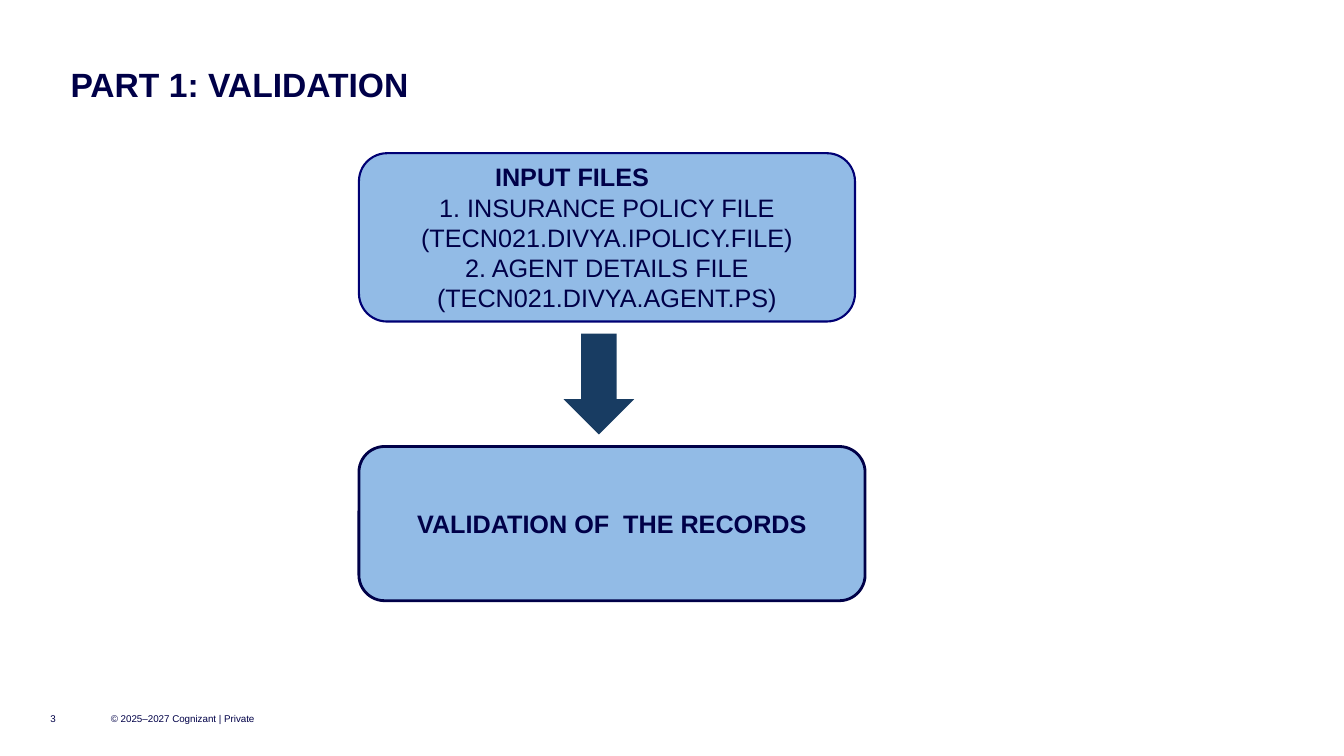
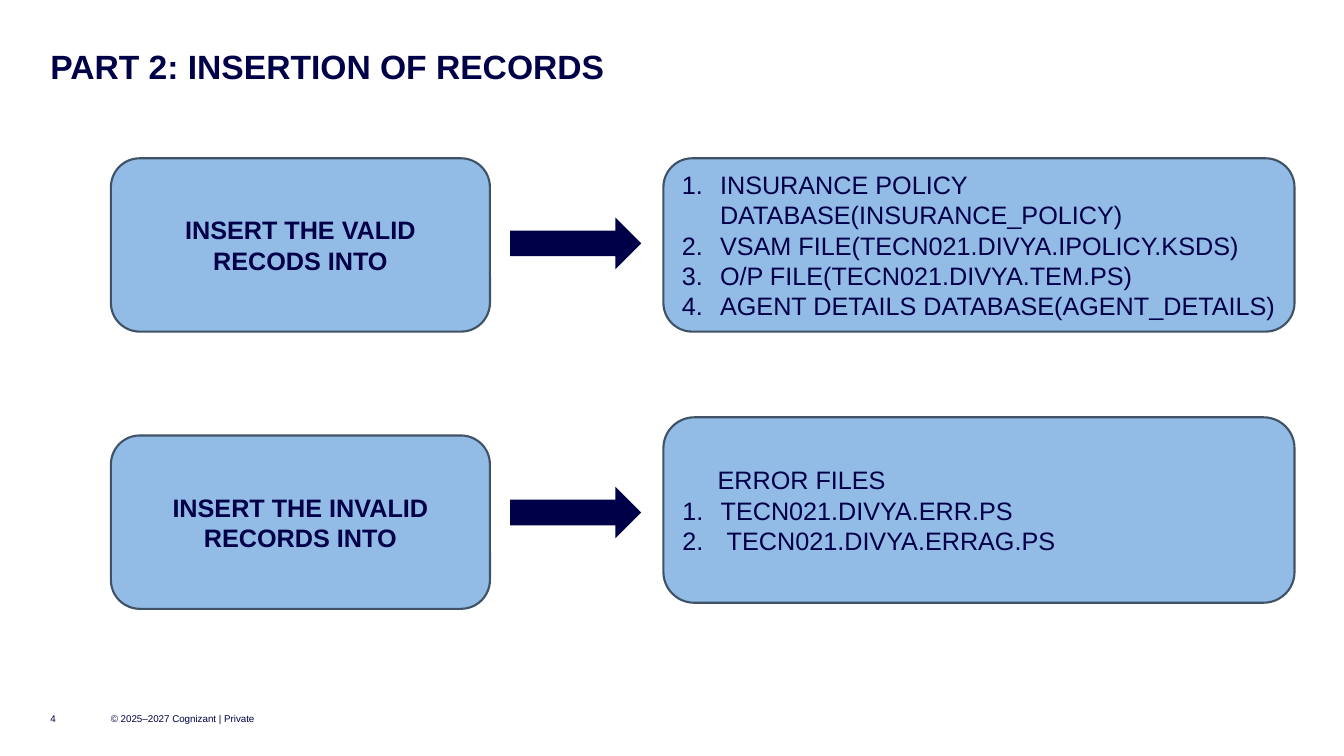
from dataclasses import dataclass

from lxml.etree import SubElement
from pptx import Presentation
from pptx.dml.color import RGBColor
from pptx.enum.shapes import MSO_SHAPE
from pptx.enum.text import MSO_ANCHOR, PP_ALIGN
from pptx.oxml.ns import qn
from pptx.util import Inches, Pt


@dataclass(frozen=True)
class Theme:
    font: str = "Arial"
    navy: RGBColor = RGBColor(0x00, 0x00, 0x48)
    royal: RGBColor = RGBColor(0x00, 0x00, 0x74)
    slate: RGBColor = RGBColor(0x40, 0x52, 0x65)
    steel: RGBColor = RGBColor(0x18, 0x3C, 0x62)
    sky: RGBColor = RGBColor(0x92, 0xBB, 0xE6)
    title_size: Pt = Pt(24)
    body_size: Pt = Pt(18)
    footer_size: Pt = Pt(7)


THEME = Theme()
COPYRIGHT = "© 2025–2027 Cognizant | Private"


@dataclass(frozen=True)
class Line:
    """One paragraph of a box; indent is in inches."""
    text: str
    bold: bool = False
    align: PP_ALIGN = PP_ALIGN.LEFT
    indent: float = 0
    numbered: bool = False


def centred(text, bold=False):
    return Line(text, bold, PP_ALIGN.CENTER)


def numbered(text, indent=0.38):
    return Line(text, indent=indent, numbered=True)


def style_font(paragraph, size, bold=False):
    font = paragraph.font
    font.name, font.size, font.bold = THEME.font, size, bold
    font.color.rgb = THEME.navy


def indent_paragraph(paragraph, line):
    """Set the left margin; a numbered line hangs its number in that margin."""
    properties = paragraph._p.get_or_add_pPr()
    margin = Inches(line.indent)
    properties.set("marL", str(margin))
    if line.numbered:
        properties.set("indent", str(-margin))
        SubElement(properties, qn("a:buAutoNum"), type="arabicPeriod")


def add_label(slide, text, left, top, width, height, size,
              bold=False, anchor=MSO_ANCHOR.MIDDLE):
    frame = slide.shapes.add_textbox(
        Inches(left), Inches(top), Inches(width), Inches(height)).text_frame
    frame.word_wrap = True
    frame.vertical_anchor = anchor
    frame.margin_left = frame.margin_right = 0
    frame.margin_top = frame.margin_bottom = 0
    paragraph = frame.paragraphs[0]
    paragraph.text = text
    style_font(paragraph, size, bold)
    return paragraph


def add_title(slide, text, left, top):
    title = add_label(slide, text, left, top, 12.33, 0.36, THEME.title_size,
                      bold=True, anchor=MSO_ANCHOR.TOP)
    title.line_spacing = 0.9


def add_footer(slide, number):
    for text, left, width in ((str(number), 0.5, 0.4), (COPYRIGHT, 1.1, 1.94)):
        add_label(slide, text, left, 7, width, 0.25, THEME.footer_size)


def add_filled_shape(slide, kind, left, top, width, height, fill):
    shape = slide.shapes.add_shape(
        kind, Inches(left), Inches(top), Inches(width), Inches(height))
    shape.shadow.inherit = False
    shape.fill.solid()
    shape.fill.fore_color.rgb = fill
    return shape


def add_arrow(slide, kind, left, top, width, height, fill):
    arrow = add_filled_shape(slide, kind, left, top, width, height, fill)
    arrow.line.fill.background()


def add_box(slide, left, top, width, height, lines,
            outline=THEME.slate, outline_width=1.5):
    box = add_filled_shape(slide, MSO_SHAPE.ROUNDED_RECTANGLE,
                           left, top, width, height, THEME.sky)
    box.line.color.rgb = outline
    box.line.width = Pt(outline_width)
    frame = box.text_frame
    frame.word_wrap = True
    frame.vertical_anchor = MSO_ANCHOR.MIDDLE
    for index, line in enumerate(lines):
        paragraph = frame.add_paragraph() if index else frame.paragraphs[0]
        paragraph.text = line.text
        paragraph.alignment = line.align
        indent_paragraph(paragraph, line)
        style_font(paragraph, THEME.body_size, line.bold)


def add_slide(prs, number, title, title_left, title_top):
    slide = prs.slides.add_slide(prs.slide_layouts[6])
    add_title(slide, title, title_left, title_top)
    add_footer(slide, number)
    return slide


def build_validation(prs):
    slide = add_slide(prs, 3, "PART 1: VALIDATION", 0.7, 0.68)
    add_box(slide, 3.56, 1.52, 4.92, 1.67, [
        Line("INPUT FILES", bold=True, indent=1.17),
        centred("1. INSURANCE POLICY FILE (TECN021.DIVYA.IPOLICY.FILE)"),
        centred("2. AGENT DETAILS FILE"),
        centred("(TECN021.DIVYA.AGENT.PS)"),
    ], THEME.royal)
    add_arrow(slide, MSO_SHAPE.DOWN_ARROW, 5.59, 3.31, 0.7, 1, THEME.steel)
    add_box(slide, 3.56, 4.43, 5.02, 1.53,
            [centred("VALIDATION OF  THE RECORDS", bold=True)],
            THEME.navy, 2)


def add_insertion_row(slide, action, action_top, arrow_top,
                      targets, targets_top, targets_height):
    add_box(slide, 1.1, action_top, 3.76, 1.72, [centred(action, bold=True)])
    add_arrow(slide, MSO_SHAPE.RIGHT_ARROW, 5.06, arrow_top, 1.3, 0.51,
              THEME.navy)
    add_box(slide, 6.58, targets_top, 6.26, targets_height, targets)


def build_insertion(prs):
    slide = add_slide(prs, 4, "PART 2: INSERTION OF RECORDS", 0.5, 0.5)
    add_insertion_row(slide, "INSERT THE VALID RECODS INTO", 1.57, 2.16, [
        numbered("INSURANCE POLICY DATABASE(INSURANCE_POLICY)"),
        numbered("VSAM FILE(TECN021.DIVYA.IPOLICY.KSDS)"),
        numbered("O/P FILE(TECN021.DIVYA.TEM.PS)"),
        numbered("AGENT DETAILS DATABASE(AGENT_DETAILS)"),
    ], 1.57, 1.72)
    add_insertion_row(slide, "INSERT THE INVALID RECORDS INTO", 4.32, 4.83, [
        Line("ERROR FILES", indent=0.35),
        numbered("TECN021.DIVYA.ERR.PS"),
        numbered("TECN021.DIVYA.ERRAG.PS", indent=0.44),
    ], 4.14, 1.84)


def main():
    prs = Presentation()
    prs.slide_width, prs.slide_height = Inches(13.33), Inches(7.5)
    build_validation(prs)
    build_insertion(prs)
    prs.save("out.pptx")


if __name__ == "__main__":
    main()
